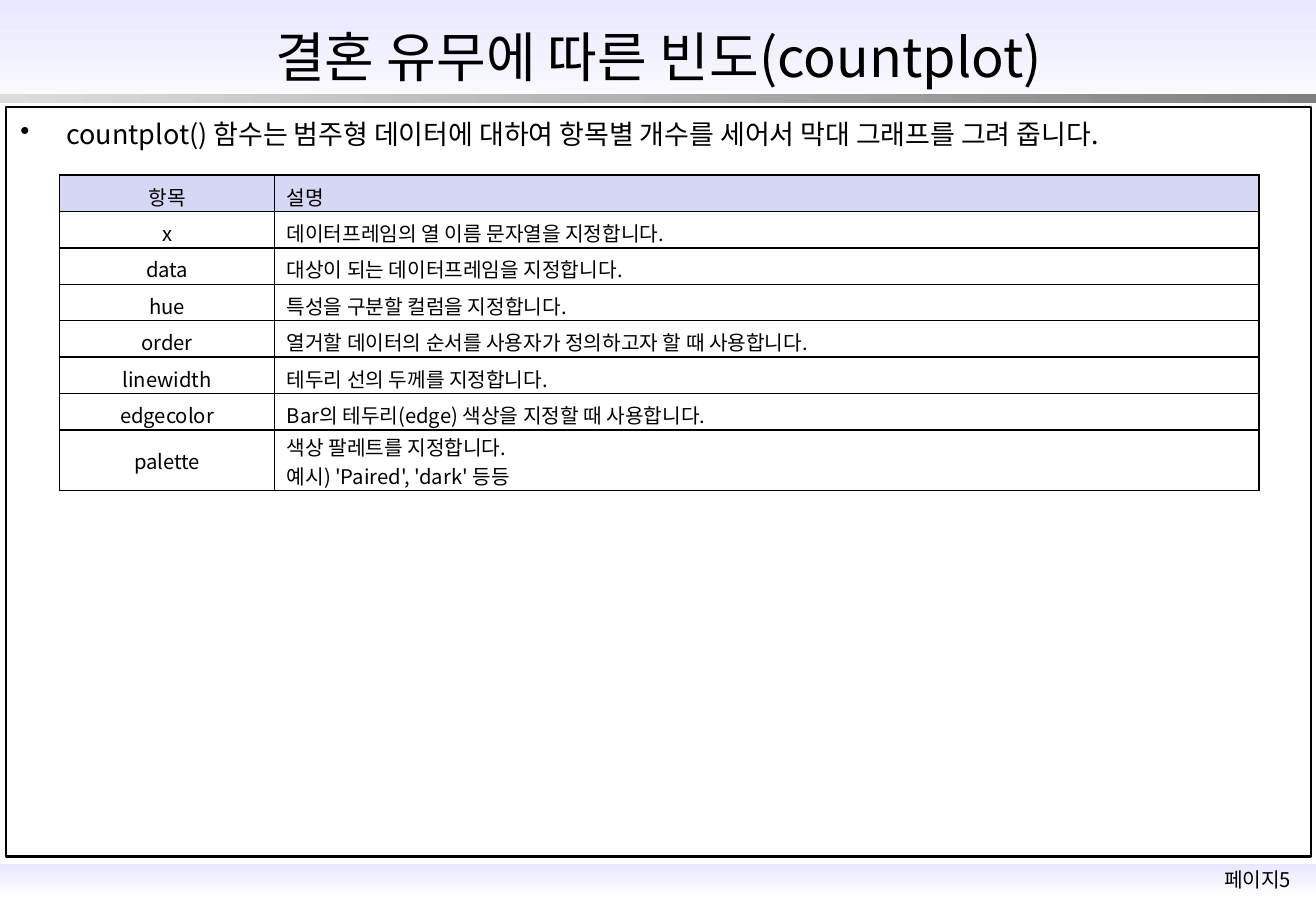
import pptx
import pptx.util
import pptx.dml.color
import pptx.enum.shapes
import pptx.enum.text
import pptx.oxml
import pptx.oxml.ns

Inches = pptx.util.Inches
Pt = pptx.util.Pt
Color = pptx.dml.color.RGBColor
Align = pptx.enum.text.PP_ALIGN
Anchor = pptx.enum.text.MSO_ANCHOR
qn = pptx.oxml.ns.qn

BLACK = Color(0x00, 0x00, 0x00)
WHITE = Color(0xFF, 0xFF, 0xFF)
PALE = Color(0xE7, 0xE7, 0xFF)
HEAD = Color(0xD6, 0xD6, 0xF5)
SILVER = Color(0xDD, 0xDD, 0xDD)
GRAY = Color(0x80, 0x80, 0x80)
FONT = "Noto Sans CJK KR"

ROWS = [
    ("항목", "설명"),
    ("x", "데이터프레임의 열 이름 문자열을 지정합니다."),
    ("data", "대상이 되는 데이터프레임을 지정합니다."),
    ("hue", "특성을 구분할 컬럼을 지정합니다."),
    ("order", "열거할 데이터의 순서를 사용자가 정의하고자 할 때 사용합니다."),
    ("linewidth", "테두리 선의 두께를 지정합니다."),
    ("edgecolor", "Bar의 테두리(edge) 색상을 지정할 때 사용합니다."),
    ("palette", "색상 팔레트를 지정합니다.\n예시) 'Paired', 'dark' 등등"),
]


def write(frame, text, size=12, align=Align.LEFT, color=BLACK, bullet=None):
    frame.word_wrap = True
    for i, line in enumerate(text.split("\n")):
        para = frame.add_paragraph() if i else frame.paragraphs[0]
        para.alignment = align
        para.space_before = Pt(0)
        if bullet:
            props = para._p.get_or_add_pPr()
            props.set("marL", str(Inches(0.38)))
            props.set("indent", str(-Inches(0.38)))
            mark = props.makeelement(qn("a:buChar"), {"char": bullet})
            props.append(mark)
        run = para.add_run()
        run.text = line
        run.font.size = Pt(size)
        run.font.color.rgb = color
        run.font.name = FONT
        props = run._r.get_or_add_rPr()
        props.append(props.makeelement(qn("a:ea"), {"typeface": FONT}))


class Page:
    def __init__(self, deck, font=FONT):
        self.font = font
        self.slide = deck.slides.add_slide(deck.slide_layouts[5])
        self.shapes = self.slide.shapes

    def rect(self, box):
        kind = pptx.enum.shapes.MSO_SHAPE.RECTANGLE
        shape = self.shapes.add_shape(kind, *map(Inches, box))
        shape.shadow.inherit = False
        return shape

    def band(self, box, start, end, angle):
        shape = self.rect(box)
        shape.line.fill.background()
        shape.fill.gradient()
        shape.fill.gradient_angle = angle
        for stop, color in zip(shape.fill.gradient_stops, (start, end)):
            stop.color.rgb = color

    def frame(self, box):
        shape = self.rect(box)
        shape.fill.background()
        shape.line.color.rgb = BLACK
        shape.line.width = Pt(1.5)

    def title(self, box, text):
        shape = self.shapes.title
        shape.left, shape.top, shape.width, shape.height = map(Inches, box)
        shape.text_frame.vertical_anchor = Anchor.MIDDLE
        write(shape.text_frame, text, size=32, align=Align.CENTER)
        self.shapes.element.append(shape.element)

    def text(self, box, text, **style):
        frame = self.shapes.add_textbox(*map(Inches, box)).text_frame
        frame.margin_top = frame.margin_bottom = 0
        frame.vertical_anchor = Anchor.MIDDLE
        write(frame, text, **style)

    def edges(self, cell):
        props = cell._tc.get_or_add_tcPr()
        space = pptx.oxml.ns.nsdecls("a")
        for i, side in enumerate("LRTB"):
            props.insert(i, pptx.oxml.parse_xml(
                f'<a:ln{side} {space} w="{Pt(1)}"><a:solidFill>'
                f'<a:srgbClr val="{BLACK}"/></a:solidFill></a:ln{side}>'))

    def table(self, box, rows, widths, heights):
        size = len(rows), len(widths)
        table = self.shapes.add_table(*size, *map(Inches, box)).table
        table.horz_banding = False
        for col, width in zip(table.columns, widths):
            col.width = Inches(width)
        for r, (row, height) in enumerate(zip(rows, heights)):
            table.rows[r].height = Inches(height)
            tall = "\n" in row[1]
            for c, text in enumerate(row):
                cell = table.cell(r, c)
                cell.vertical_anchor = Anchor.MIDDLE
                cell.margin_top = Inches(0.01 if tall else 0.05)
                cell.margin_bottom = 0
                cell.fill.solid()
                cell.fill.fore_color.rgb = WHITE if r else HEAD
                align = Align.JUSTIFY if c else Align.CENTER
                write(cell.text_frame, text, align=align)
                self.edges(cell)


def main():
    deck = pptx.Presentation()
    deck.slide_width = Inches(10.83)
    deck.slide_height = Inches(7.5)
    page = Page(deck)
    page.band((0, 7.11, 10.83, 0.27), PALE, WHITE, 270)
    page.band((0, 0, 10.83, 1), PALE, WHITE, 270)
    page.text((9.82, 7.09, 1.06, 0.3), "페이지5", align=Align.CENTER)
    page.band((0, 0.77, 10.83, 0.08), SILVER, GRAY, 0)
    page.frame((0.05, 0.88, 10.74, 6.17))
    page.title((0.38, 0.17, 10.08, 0.58), "결혼 유무에 따른 빈도(countplot)")
    page.text((0.07, 0.92, 10.55, 0.37),
              "countplot() 함수는 범주형 데이터에 대하여 항목별 개수를 "
              "세어서 막대 그래프를 그려 줍니다.", size=16, bullet="•")
    page.table((0.49, 1.44, 9.87, 2.6), ROWS, (1.77, 8.1), [0.3] * 7 + [0.5])
    deck.save("out.pptx")


if __name__ == "__main__":
    main()
